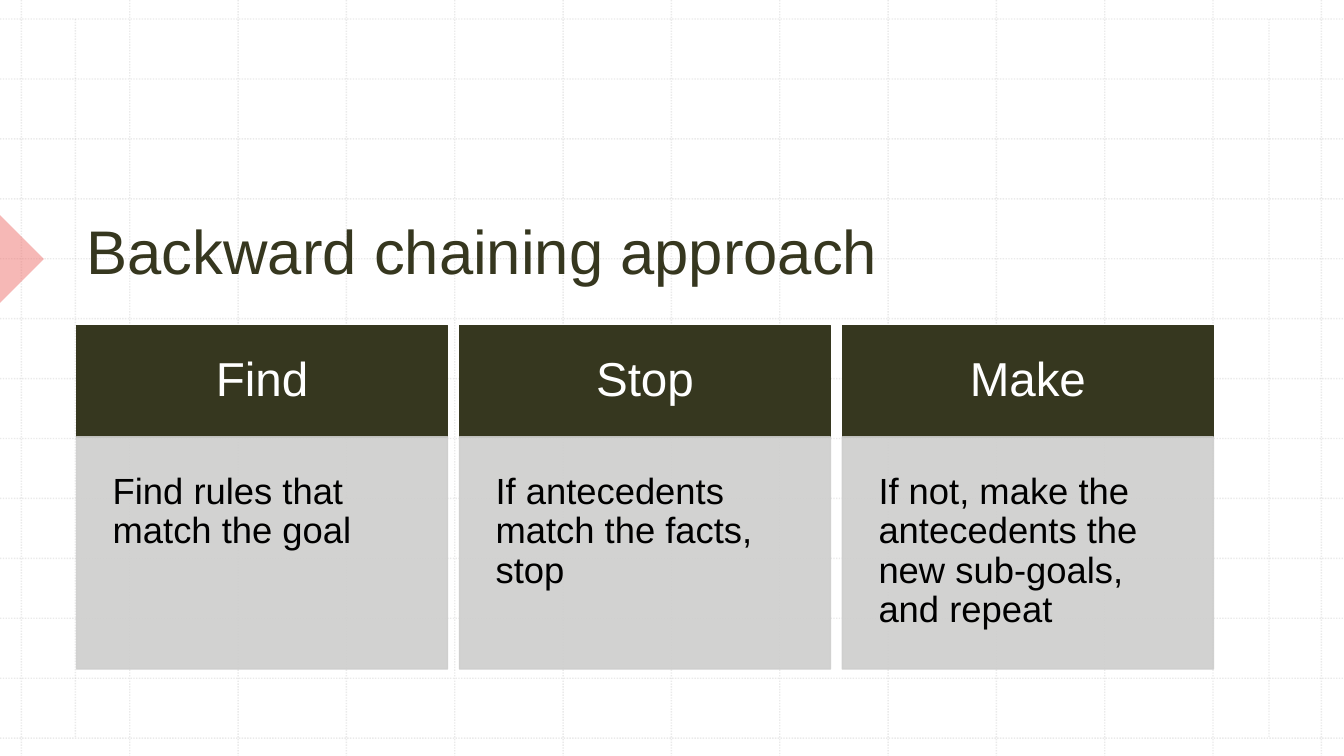
from lxml.etree import SubElement
from pptx import Presentation
from pptx.dml.color import RGBColor
from pptx.enum.dml import MSO_LINE
from pptx.enum.shapes import MSO_CONNECTOR, MSO_SHAPE
from pptx.enum.text import MSO_ANCHOR, MSO_AUTO_SIZE, PP_ALIGN
from pptx.oxml.ns import qn
from pptx.util import Cm, Pt

COLORS = {
    "paper": "FFFFFF",
    "grid": "BCBCBC",
    "accent": "EE726E",
    "dark": "36371F",
    "panel": "CECECD",
    "text": "000000",
}
WIDTH, HEIGHT = 33.87, 19.05
STEPS = [
    ("Find", "Find rules that match the goal"),
    ("Stop", "If antecedents match the facts, stop"),
    ("Make", "If not, make the antecedents the new sub-goals, and repeat"),
]


class SlideBuilder:
    """Holds the style and the current slide, and draws each kind of element."""

    font = "Arial"

    def __init__(self, prs):
        self.s = prs.slides.add_slide(prs.slide_layouts[0])
        subtitle = self.s.placeholders[1]._element
        subtitle.getparent().remove(subtitle)
        fill = self.s.background.fill
        fill.solid()
        fill.fore_color.rgb = self.color("paper")

    def color(self, name):
        return RGBColor.from_string(COLORS[name])

    def opacity(self, sp, percent):
        for clr in sp._element.spPr.iter(qn("a:srgbClr")):
            SubElement(clr, qn("a:alpha"), val=str(percent * 1000))

    def set_text(self, tf, text, size, color, align):
        tf.word_wrap = True
        tf.auto_size = MSO_AUTO_SIZE.NONE
        p = tf.paragraphs[0]
        p.text = text
        p.alignment = align
        p.line_spacing = 0.9
        p.font.name = self.font
        p.font.size = Pt(size)
        p.font.color.rgb = self.color(color)

    def title(self, text, x, y, w, h):
        sp = self.s.shapes.title
        self.s.shapes._spTree.append(sp._element)
        sp.left, sp.top, sp.width, sp.height = Cm(x), Cm(y), Cm(w), Cm(h)
        sp.text_frame.vertical_anchor = MSO_ANCHOR.BOTTOM
        self.set_text(sp.text_frame, text, 44, "dark", PP_ALIGN.LEFT)

    def grid_line(self, x1, y1, x2, y2):
        line = self.s.shapes.add_connector(
            MSO_CONNECTOR.STRAIGHT, Cm(x1), Cm(y1), Cm(x2), Cm(y2))
        line.line.color.rgb = self.color("grid")
        line.line.width = Pt(1)
        line.line.dash_style = MSO_LINE.ROUND_DOT
        self.opacity(line, 30)
        SubElement(line._element.spPr, qn("a:effectLst"))

    def shape(self, kind, x, y, w, h, fill, outlined=False):
        sp = self.s.shapes.add_shape(kind, Cm(x), Cm(y), Cm(w), Cm(h))
        sp.shadow.inherit = False
        sp.fill.solid()
        sp.fill.fore_color.rgb = self.color(fill)
        if outlined:
            sp.line.color.rgb = self.color(fill)
            sp.line.width = Pt(1)
        else:
            sp.line.fill.background()
        return sp

    def marker(self, x, y, size):
        sp = self.shape(MSO_SHAPE.RIGHT_TRIANGLE, x, y, size, size, "accent")
        sp.rotation = 225
        self.opacity(sp, 50)

    def box(self, x, y, w, h, fill, text, size, color, inset, align, anchor):
        sp = self.shape(MSO_SHAPE.RECTANGLE, x, y, w, h, fill, outlined=True)
        tf = sp.text_frame
        tf.margin_left = tf.margin_right = Cm(inset)
        tf.margin_top = tf.margin_bottom = Cm(inset)
        tf.vertical_anchor = anchor
        self.set_text(tf, text, size, color, align)
        return sp

    def card(self, x, y, w, heading, body):
        head_h, body_h = 2.81, 5.85
        self.box(x, y, w, head_h, "dark", heading, 34, "paper", 0.74,
                 PP_ALIGN.CENTER, MSO_ANCHOR.MIDDLE)
        panel = self.box(x, y + head_h, w, body_h, "panel", body, 26, "text", 0.91,
                         PP_ALIGN.LEFT, MSO_ANCHOR.TOP)
        self.opacity(panel, 90)


def main():
    prs = Presentation()
    prs.slide_width, prs.slide_height = Cm(WIDTH), Cm(HEIGHT)
    slide = SlideBuilder(prs)

    for i in range(13):
        x, y = 0.54 + 2.73 * i, 0.48 + 1.51 * i
        slide.grid_line(x, 0, x, HEIGHT)
        slide.grid_line(0, y, WIDTH, y)
    for x in (1.9, 31.98):
        slide.grid_line(x, 0.48, x, 18.57)

    slide.marker(-0.79, 5.74, 1.57)
    slide.title("Backward chaining approach", 1.93, 2.01, 28.68, 5.36)
    for i, (heading, body) in enumerate(STEPS):
        slide.card(1.93 + 9.65 * i, 8.2, 9.35, heading, body)

    prs.save("out.pptx")


if __name__ == "__main__":
    main()
